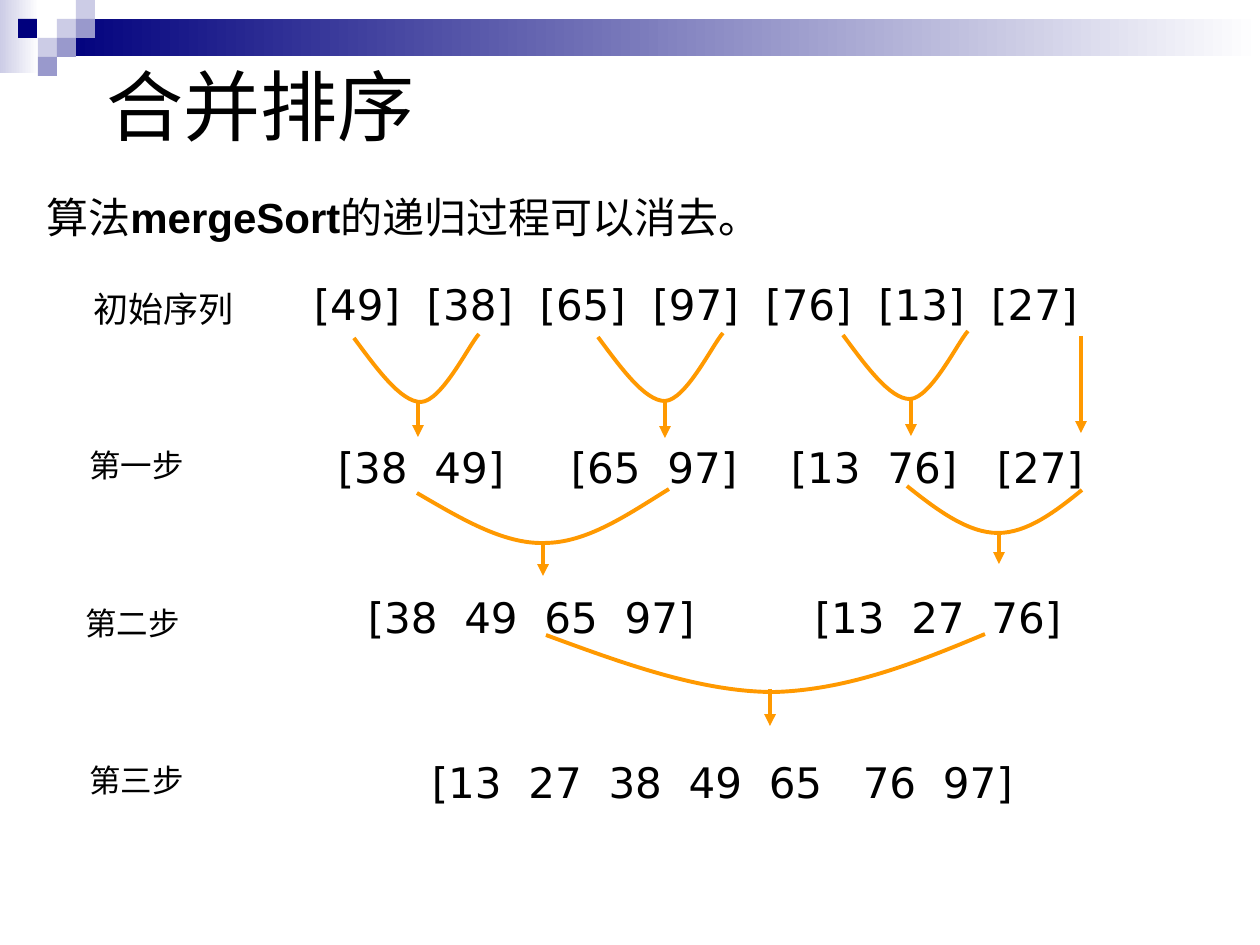
from lxml import etree
from pptx import Presentation
from pptx.dml.color import RGBColor
from pptx.enum.shapes import MSO_CONNECTOR, MSO_SHAPE
from pptx.enum.text import MSO_ANCHOR
from pptx.oxml.ns import qn
from pptx.util import Pt

PX = 914400 / 126
WIDTH, HEIGHT = 1260, 945
INSET = 12.6  # default left inset of a text box
NUMBER_PITCH = 80.15  # two digits and the gap after them
BRACKET = 16.4

BLACK = RGBColor(0x00, 0x00, 0x00)
WHITE = RGBColor(0xFF, 0xFF, 0xFF)
NAVY = RGBColor(0x00, 0x00, 0x7D)
LAVENDER = RGBColor(0xCC, 0xCC, 0xE6)
PERIWINKLE = RGBColor(0x99, 0x99, 0xCC)
ORANGE = RGBColor(0xFF, 0x99, 0x00)
CJK, LATIN, NUMERIC = "Noto Sans CJK SC", "Arial", "DejaVu Sans"

# left, top, width, height, starting colour
FADING_BARS = [(0, 0, 39, 73, LAVENDER), (57, 19, 1203, 37, NAVY)]
SQUARE = 19
SQUARES = [
    (57, 19, LAVENDER), (76, 0, LAVENDER), (76, 19, PERIWINKLE),
    (38, 38, LAVENDER), (18, 19, NAVY), (57, 38, PERIWINKLE),
    (38, 57, PERIWINKLE),
]

TITLE = "合并排序"
STATEMENT = [("算法", False), ("mergeSort", True), ("的递归过程可以消去。", False)]

# label, its left, top and size, top of the numbers, (start, numbers) groups
STEPS = [
    ("初始序列", 81, 281, 20, 272,
     [(314 + 112.9 * i, f"[{number}]")
      for i, number in enumerate([49, 38, 65, 97, 76, 13, 27])]),
    ("第一步", 77, 440, 18, 435,
     [(338, "[38 49]"), (571, "[65 97]"), (791, "[13 76]"), (997, "[27]")]),
    ("第二步", 73, 598, 18, 585,
     [(368, "[38 49 65 97]"), (815, "[13 27 76]")]),
    ("第三步", 77, 755, 18, 750,
     [(432, "[13 27 38 49 65"), (863, "76 97]")]),
]

# start point, then control, control, end for each of two Bézier pieces
PAIR_CURVE = [(354, 338), (377, 369), (401, 402), (421, 402),
              (442, 401), (469, 345), (479, 334)]
PAIR_OFFSETS = [(0, 0), (244, -1), (489, -3)]
MERGE_CURVES = [[(x + dx, y + dy) for x, y in PAIR_CURVE]
                for dx, dy in PAIR_OFFSETS] + [
    [(417, 493), (460, 518), (503, 544), (544, 543),
     (587, 543), (627, 515), (669, 489)],
    [(907, 486), (937, 510), (968, 533), (998, 533),
     (1027, 533), (1055, 512), (1082, 490)],
    [(546, 635), (622, 663), (701, 692), (774, 692),
     (847, 690), (916, 663), (985, 634)],
]
# x, top, bottom
ARROWS = [(418, 401, 437), (665, 402, 438), (911, 399, 436), (1081, 336, 433),
          (543, 544, 576), (999, 533, 564), (770, 689, 726)]


def px(*lengths):
    return [round(length * PX) for length in lengths]


def add_block(slide, left, top, width, height):
    block = slide.shapes.add_shape(MSO_SHAPE.RECTANGLE, *px(left, top, width, height))
    block.shadow.inherit = False
    block.line.fill.background()
    return block


def add_fading_bar(slide, left, top, width, height, color):
    fill = add_block(slide, left, top, width, height).fill
    fill.gradient()
    fill.gradient_angle = 0
    for stop, stop_color in zip(fill.gradient_stops, (color, WHITE)):
        stop.color.rgb = stop_color


def add_text(slide, left, top, width, height, runs, size, font):
    """Add a one-paragraph text box; runs are (text, bold) pairs."""
    frame = slide.shapes.add_textbox(*px(left, top, width, height)).text_frame
    frame.word_wrap = True
    for text, bold in runs:
        run = frame.paragraphs[0].add_run()
        run.text = text
        run.font.size = Pt(size)
        run.font.bold = bold
        run.font.name = font
        run.font.color.rgb = BLACK
        east_asian = etree.SubElement(run.font._element, qn("a:ea"))
        east_asian.set("typeface", CJK)
    return frame


def add_numbers(slide, top, groups):
    """Add one row of numbers, each placed by a tab stop."""
    tokens, starts = [], []
    for start, text in groups:
        for i, token in enumerate(text.split()):
            bracket = BRACKET if i and text.startswith("[") else 0
            tokens.append(token)
            starts.append(start + bracket + i * NUMBER_PITCH)
    frame = add_text(slide, starts[0] - INSET, top, 850, 63,
                     [("\t".join(tokens), False)], 24, NUMERIC)
    properties = frame.paragraphs[0]._p.get_or_add_pPr()
    tab_list = etree.SubElement(properties, qn("a:tabLst"))
    for start in starts[1:]:
        tab = etree.SubElement(tab_list, qn("a:tab"))
        tab.set("pos", str(px(start - starts[0])[0]))
        tab.set("algn", "l")


def style_line(shape):
    shape.line.color.rgb = ORANGE
    shape.line.width = Pt(2.25)


def add_curve(slide, points):
    """Draw the points as a freeform, then turn each three into a Bézier piece."""
    builder = slide.shapes.build_freeform(*points[0], scale=PX)
    builder.add_line_segments(points[1:], close=False)
    curve = builder.convert_to_shape()
    curve.shadow.inherit = False
    curve.fill.background()
    style_line(curve)
    segments = list(curve._element.iter(qn("a:lnTo")))
    outline = segments[0].getparent()
    for i in range(0, len(segments), 3):
        bezier = etree.SubElement(outline, qn("a:cubicBezTo"))
        for segment in segments[i:i + 3]:
            bezier.append(segment[0])
            outline.remove(segment)


def add_arrow(slide, x, top, bottom):
    arrow = slide.shapes.add_connector(MSO_CONNECTOR.STRAIGHT, *px(x, top, x, bottom))
    style_line(arrow)
    etree.SubElement(arrow.line._get_or_add_ln(), qn("a:tailEnd")).set("type", "triangle")
    etree.SubElement(arrow._element.spPr, qn("a:effectLst"))


def main():
    presentation = Presentation()
    presentation.slide_width, presentation.slide_height = px(WIDTH, HEIGHT)
    slide = presentation.slides.add_slide(presentation.slide_layouts[6])

    for bar in FADING_BARS:
        add_fading_bar(slide, *bar)
    for left, top, color in SQUARES:
        fill = add_block(slide, left, top, SQUARE, SQUARE).fill
        fill.solid()
        fill.fore_color.rgb = color

    title = add_text(slide, 94, 26, 1071, 158, [(TITLE, False)], 44, CJK)
    title.vertical_anchor = MSO_ANCHOR.MIDDLE
    add_text(slide, 34, 185, 1181, 63, STATEMENT, 24, LATIN)

    for label, left, top, size, numbers_top, groups in STEPS:
        add_text(slide, left, top, 170, 52, [(label, False)], size, NUMERIC)
        add_numbers(slide, numbers_top, groups)
    for points in MERGE_CURVES:
        add_curve(slide, points)
    for arrow in ARROWS:
        add_arrow(slide, *arrow)

    presentation.save("out.pptx")


if __name__ == "__main__":
    main()
